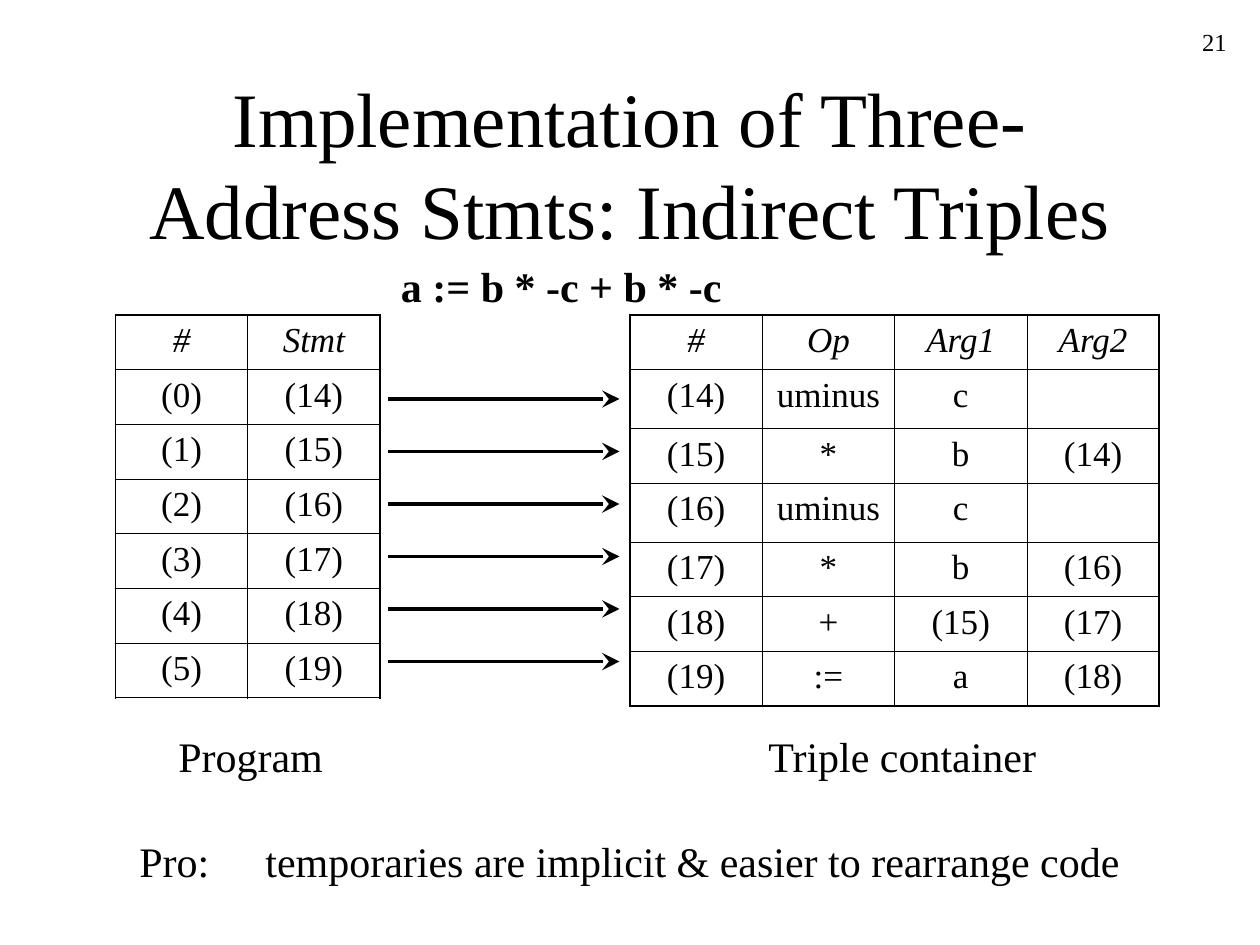
from dataclasses import dataclass

from lxml import etree
from pptx import Presentation
from pptx import util as u
from pptx.dml import color
from pptx.enum import shapes, text
from pptx.oxml import ns


@dataclass(frozen=True)
class Theme:
    font: str = "Times New Roman"
    ink: str = "000000"
    title: int = 44
    body: int = 24
    cell: int = 20
    number: int = 14
    arrow: float = 2
    outer_rule: float = 1.08
    inner_rule: float = 0.45


THEME = Theme()
BLANK_LAYOUT = 6

# The page is a grid of 120 columns by 90 rows, twelve to the inch.
UNIT = u.Inches(1) // 12
PAGE_COLUMNS, PAGE_ROWS = 120, 90
TABLE_TOP, CELL_WIDTH = 30, 12.6
ROW_HEIGHT, TALL_ROW_HEIGHT = 5.2, 5.6
ARROW_LEFT, ARROW_RIGHT, ARROW_TOP, ARROW_STEP = 37, 59, 38, 5

PROGRAM = [["#", "Stmt"]] + [[f"({step})", f"({step + 14})"] for step in range(6)]
TRIPLES = [
    ["#", "Op", "Arg1", "Arg2"],
    ["(14)", "uminus", "c", ""],
    ["(15)", "*", "b", "(14)"],
    ["(16)", "uminus", "c", ""],
    ["(17)", "*", "b", "(16)"],
    ["(18)", "+", "(15)", "(17)"],
    ["(19)", ":=", "a", "(18)"],
]


def grid(*counts):
    """Turn grid counts into lengths."""
    return [u.Emu(round(count * UNIT)) for count in counts]


def add_element(parent, tag, **attributes):
    return etree.SubElement(parent, ns.qn(tag), attributes)


def write(para, wording, size, align=text.PP_ALIGN.LEFT, **styles):
    para.alignment = align
    span = para.add_run()
    span.text = wording
    formats = {"name": THEME.font, "size": u.Pt(size), **styles}
    for name, value in formats.items():
        setattr(span.font, name, value)
    span.font.color.rgb = color.RGBColor.from_string(THEME.ink)


def add_text(page, area, wording, size, wrap=False,
             anchor=text.MSO_ANCHOR.TOP, **styles):
    """Add a text box; one that does not wrap grows with its line."""
    frame = page.shapes.add_textbox(*grid(*area)).text_frame
    frame.word_wrap = wrap
    if not wrap:
        frame.auto_size = text.MSO_AUTO_SIZE.SHAPE_TO_FIT_TEXT
    frame.vertical_anchor = anchor
    para = frame.paragraphs[0]
    if "\t" in wording:
        stops = add_element(para._p.get_or_add_pPr(), "a:tabLst")
        add_element(stops, "a:tab", pos=str(u.Inches(1)), algn="l")
    write(para, wording, size, **styles)


def rule_cell(cell, outer_sides):
    """Draw the four borders, heavier on the sides that edge the table."""
    properties = cell._tc.get_or_add_tcPr()
    for side in "LRTB":
        width = THEME.outer_rule if side in outer_sides else THEME.inner_rule
        line = add_element(properties, f"a:ln{side}", w=str(u.Pt(width)))
        add_element(add_element(line, "a:solidFill"), "a:srgbClr", val=THEME.ink)


def add_grid_table(page, left, records):
    last_row, last_column = len(records) - 1, len(records[0]) - 1
    heights = [ROW_HEIGHT if all(record) else TALL_ROW_HEIGHT for record in records]
    area = grid(left, TABLE_TOP, CELL_WIDTH * (last_column + 1), sum(heights))
    table = page.shapes.add_table(last_row + 1, last_column + 1, *area).table
    table.first_row = table.horz_banding = False
    for column in table.columns:
        column.width = grid(CELL_WIDTH)[0]
    for row, (record, height) in enumerate(zip(records, heights)):
        table.rows[row].height = grid(height)[0]
        for column, wording in enumerate(record):
            cell = table.cell(row, column)
            edges = {"L": column == 0, "R": column == last_column,
                     "T": row == 0, "B": row == last_row}
            rule_cell(cell, [side for side, outer in edges.items() if outer])
            cell.fill.background()
            if wording:
                write(cell.text_frame.paragraphs[0], wording, THEME.cell,
                      text.PP_ALIGN.CENTER, italic=row == 0)


def add_arrow(page, height):
    arrow = page.shapes.add_connector(
        shapes.MSO_CONNECTOR.STRAIGHT,
        *grid(ARROW_LEFT, height, ARROW_RIGHT, height))
    arrow.line.width = u.Pt(THEME.arrow)
    arrow.line.color.rgb = color.RGBColor.from_string(THEME.ink)
    add_element(arrow.line._get_or_add_ln(), "a:tailEnd",
                type="stealth", w="lg", len="lg")
    add_element(arrow._element.spPr, "a:effectLst")


def main():
    deck = Presentation()
    deck.slide_width, deck.slide_height = grid(PAGE_COLUMNS, PAGE_ROWS)
    page = deck.slides.add_slide(deck.slide_layouts[BLANK_LAYOUT])

    add_text(page, (93, 2, 25, 6), "21", THEME.number, wrap=True,
             align=text.PP_ALIGN.RIGHT)
    add_text(page, (9, 8, 102, 15),
             "Implementation of Three-Address Stmts: Indirect Triples",
             THEME.title, wrap=True, anchor=text.MSO_ANCHOR.MIDDLE,
             align=text.PP_ALIGN.CENTER)
    add_text(page, (37, 24.2, 33.5, 6), "a := b * -c + b * -c", THEME.body, bold=True)

    add_grid_table(page, 11, PROGRAM)
    add_grid_table(page, 60, TRIPLES)
    for step in range(len(PROGRAM) - 1):
        add_arrow(page, ARROW_TOP + step * ARROW_STEP)

    add_text(page, (15.8, 69, 16.2, 6), "Program", THEME.body)
    add_text(page, (72, 69, 28.1, 6), "Triple container", THEME.body)
    add_text(page, (12.1, 79, 95.8, 6),
             "Pro:\ttemporaries are implicit & easier to rearrange code", THEME.body)
    deck.save("out.pptx")


if __name__ == "__main__":
    main()
